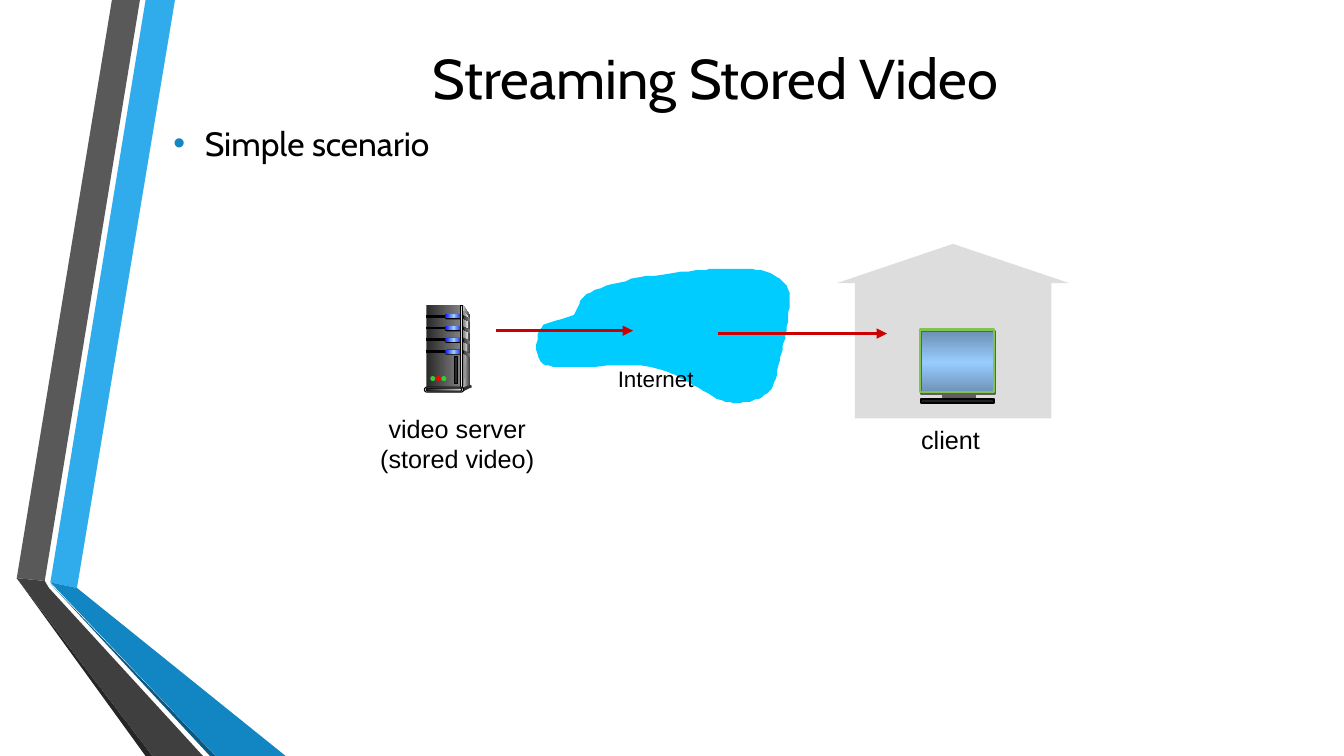
"""Build the Streaming Stored Video slide: a server sends video over the Internet to a client."""
from lxml.etree import SubElement
from pptx import Presentation
from pptx.dml.color import RGBColor
from pptx.enum.shapes import MSO_CONNECTOR, MSO_SHAPE
from pptx.enum.text import MSO_ANCHOR, MSO_AUTO_SIZE, PP_ALIGN
from pptx.oxml.ns import qn
from pptx.util import Pt

COLORS = {
    "black": "000000", "ribbon blue": "30ACEC", "ribbon gray": "595959",
    "gray edge": "262626", "blue edge": "0B5982", "blue fold": "1186C3",
    "gray fold": "3F3F3F", "house": "DDDDDD", "iron": "333333",
    "coal": "292929", "steel": "808080", "shine": "F8F8F8",
    "soot": "212121", "silver": "CDD0D1", "blue": "0000FF",
    "sky": "99CCFF", "green": "33CC33", "red": "FF0000",
    "screen": "6B8FB3", "stand": "5F5F5F", "frame": "80C34F",
    "cloud": "00CCFF", "arrow": "CC0000",
}
RECTANGLE, PILL, OVAL = MSO_SHAPE.RECTANGLE, MSO_SHAPE.ROUNDED_RECTANGLE, MSO_SHAPE.OVAL
OUTLINE = None


def draw(shapes, kind, place, fill, line=None, width=0.75, angle=0):
    """Draw a preset in a box, or an outline through points; a tuple fill is a gradient."""
    if kind is OUTLINE:
        builder = shapes.build_freeform(*place[0], scale=Pt(1))
        builder.add_line_segments(place[1:], close=True)
        shape = builder.convert_to_shape()
    else:
        shape = shapes.add_shape(kind, *[Pt(length) for length in place])
    if kind == PILL:
        shape.adjustments[0] = 0.5
    shape.shadow.inherit = False
    if fill is None:
        shape.fill.background()
    elif isinstance(fill, tuple):
        shape.fill.gradient()
        shape.fill.gradient_angle = angle
        stops = shape._element.spPr.find(".//" + qn("a:gsLst"))
        stops.clear()
        for index, name in enumerate(fill):
            position = str(100000 * index // (len(fill) - 1))
            stop = SubElement(stops, qn("a:gs"), pos=position)
            SubElement(stop, qn("a:srgbClr"), val=COLORS[name])
    else:
        shape.fill.solid()
        shape.fill.fore_color.rgb = RGBColor.from_string(COLORS[fill])
    if line:
        shape.line.color.rgb = RGBColor.from_string(COLORS[line])
        shape.line.width = Pt(width)
    else:
        shape.line.fill.background()


def write(box, text, place, size=18, font="Arial", align=PP_ALIGN.LEFT,
          anchor=MSO_ANCHOR.TOP, bullet=None):
    """Place a box and fill it with one paragraph per line of text."""
    box.left, box.top, box.width, box.height = [Pt(length) for length in place]
    frame = box.text_frame
    frame.word_wrap = True
    frame.auto_size = MSO_AUTO_SIZE.NONE
    frame.vertical_anchor = anchor
    for index, line in enumerate(text.split("\n")):
        para = frame.add_paragraph() if index else frame.paragraphs[0]
        if bullet:
            properties = para._p.get_or_add_pPr()
            properties.set("marL", str(Pt(22.5)))
            properties.set("indent", str(-Pt(22.5)))
            color = SubElement(properties, qn("a:buClr"))
            SubElement(color, qn("a:srgbClr"), val=COLORS["blue fold"])
            SubElement(properties, qn("a:buFont"), typeface="Arial")
            SubElement(properties, qn("a:buChar"), char=bullet)
        para.alignment = align
        para.space_before = Pt(0)
        span = para.add_run()
        span.text = line
        span.font.size = Pt(size)
        span.font.name = font
        span.font.color.rgb = RGBColor.from_string(COLORS["black"])


deck = Presentation()
deck.slide_width, deck.slide_height = Pt(960), Pt(540)
page = deck.slides.add_slide(deck.slide_layouts[1])

ribbon = page.shapes.add_group_shape().shapes
for color, points in [
    ("ribbon blue", [(36, 416.2), (55.4, 419.8), (124.6, 0), (104.4, 0)]),
    ("ribbon gray", [(100.1, 0), (79.9, 0), (11.5, 412.6), (31.7, 415.4)]),
    ("gray edge", [(11.5, 412.6), (104.4, 540), (108.7, 540)]),
    ("blue edge", [(36, 416.9), (149.8, 540), (154.1, 540)]),
    ("blue fold", [(36, 416.4), (154.1, 540), (203.8, 540), (55.4, 419.8)]),
    ("gray fold", [(145.4, 540), (34.6, 419.8), (31.7, 415.4), (11.5, 412.6), (108.7, 540)]),
]:
    draw(ribbon, OUTLINE, points, color)

write(page.shapes.title, "Streaming Stored Video", (116.6, 25.9, 789.1, 58.3),
      size=40, font="Cabin", align=PP_ALIGN.CENTER, anchor=MSO_ANCHOR.MIDDLE)
write(page.placeholders[1], "Simple scenario", (116.6, 84.2, 789.1, 372.2),
      size=24, font="Cabin", bullet="•")

house = page.shapes.add_group_shape().shapes
draw(house, MSO_SHAPE.ISOSCELES_TRIANGLE, (597.6, 174.2, 166.3, 28.1), "house")
draw(house, RECTANGLE, (610.6, 201.6, 140.4, 97.2), "house")

server = page.shapes.add_group_shape().shapes
draw(server, OUTLINE, [(331.2, 218.2), (336.2, 226.1), (336.2, 275), (329.8, 277.2)],
     ("house", "iron"))
draw(server, RECTANGLE, (304.6, 218.2, 24.5, 59), ("coal", "steel"))
draw(server, OUTLINE, [(331.2, 221.8), (334.8, 226.8), (332.6, 250), (331.2, 276)],
     ("steel", "shine"))
for drive in range(4):
    top = 224.6 + 8.4 * drive
    draw(server, OUTLINE, [(330.5, top), (336.2, top + 2.9), (336.2, top + 5),
                           (330.5, top + 2.2)], ("coal", "steel"))
    draw(server, RECTANGLE, (304.9, top + 0.6, 13.7, 1.4), "black", "black")
    draw(server, PILL, (317.5, top, 13.7, 3.6), "black")
    draw(server, PILL, (317.5, top, 13, 2.9), ("blue", "sky", "blue"))
draw(server, RECTANGLE, (329, 218.2, 1.4, 59), ("iron", "house", "iron"), "black")
draw(server, OVAL, (335.5, 275, 1.4, 2.2), "iron")
draw(server, OUTLINE, [(330.5, 277.2), (330.5, 280.1), (336.2, 277.2), (336.2, 275)], "iron")
draw(server, PILL, (303.1, 276.5, 28.1, 3.6), "house", "black")
draw(server, PILL, (304.6, 277.2, 25.2, 2.2), ("soot", "silver"), "black")
for index, light in enumerate(["green", "red", "green"]):
    draw(server, OVAL, (307.4 + 3.9 * index, 268.6, 3.6, 3.6), light)
draw(server, RECTANGLE, (324.7, 254.9, 2.2, 19.4), "coal", "black")

monitor = page.shapes.add_group_shape().shapes
for place, fill, line in [
    ((658.1, 236.2, 52.6, 45.4), ("screen", "sky", "screen"), "stand"),
    ((673.9, 281.5, 22.3, 2.9), "stand", "stand"),
    ((658.1, 285.1, 51.8, 2.9), "soot", "black"),
    ((657.4, 235.4, 52.6, 44.6), None, "frame"),
]:
    draw(monitor, RECTANGLE, place, fill, line, width=1.5, angle=90)

cloud = [(496.8, 193)]
for first, second, end in [
    ((485.3, 194.4), (464.4, 196.6), (451.4, 199.4)),
    ((438.5, 202.3), (426.2, 205.9), (419, 210.2)),
    ((411.8, 214.6), (414.7, 220.3), (409.7, 224.6)),
    ((403.9, 228.2), (390.2, 229), (386.6, 234)),
    ((382.3, 239.8), (382.3, 252.7), (385.9, 257.8)),
    ((388.8, 262.1), (393.1, 261.4), (406.1, 262.1)),
    ((419, 262.1), (449.3, 259.9), (463.7, 262.1)),
    ((477.4, 263.5), (479.5, 267.1), (488.2, 271.4)),
    ((496.8, 275), (507.6, 283), (515.5, 285.8)),
    ((523.4, 288.7), (529.9, 288), (535.7, 286.6)),
    ((542.2, 285.1), (547.2, 283), (550.8, 277.9)),
    ((553.7, 272.9), (555.8, 262.8), (557.3, 255.6)),
    ((559.4, 247.7), (560.9, 241.2), (562.3, 233.3)),
    ((563, 225.4), (565.2, 213.8), (563, 206.6)),
    ((560.2, 200.2), (554.4, 196.6), (547.2, 194.4)),
    ((540, 191.5), (527.8, 192.2), (519.1, 192.2)),
    ((511.2, 192.2), (508.3, 192.2), (496.8, 193)),
]:
    start = cloud[-1]
    for step in range(1, 9):
        t = step / 8
        cloud.append(tuple(
            (1 - t) ** 3 * a + 3 * (1 - t) ** 2 * t * b + 3 * (1 - t) * t ** 2 * c + t ** 3 * d
            for a, b, c, d in zip(start, first, second, end)))
draw(page.shapes, OUTLINE, cloud, "cloud")

for left, right, height in [(354.2, 452.2, 236.2), (512.6, 633.6, 238.3)]:
    arrow = page.shapes.add_connector(
        MSO_CONNECTOR.STRAIGHT, Pt(left), Pt(height), Pt(right), Pt(height))
    arrow.line.color.rgb = RGBColor.from_string(COLORS["arrow"])
    arrow.line.width = Pt(2.5)
    properties = arrow._element.spPr
    SubElement(properties.find(qn("a:ln")), qn("a:tailEnd"), type="triangle")
    SubElement(properties, qn("a:effectLst"))

for text, place, size, align in [
    ("video server\n(stored video)", (261.4, 291.6, 130.3, 55.4), 18, PP_ALIGN.CENTER),
    ("client", (650.9, 299.5, 60.5, 28.8), 18, PP_ALIGN.LEFT),
    ("Internet", (434.2, 257, 72.7, 26.6), 16, PP_ALIGN.LEFT),
]:
    label = page.shapes.add_textbox(*[Pt(length) for length in place])
    write(label, text, place, size=size, align=align)

deck.save("out.pptx")
